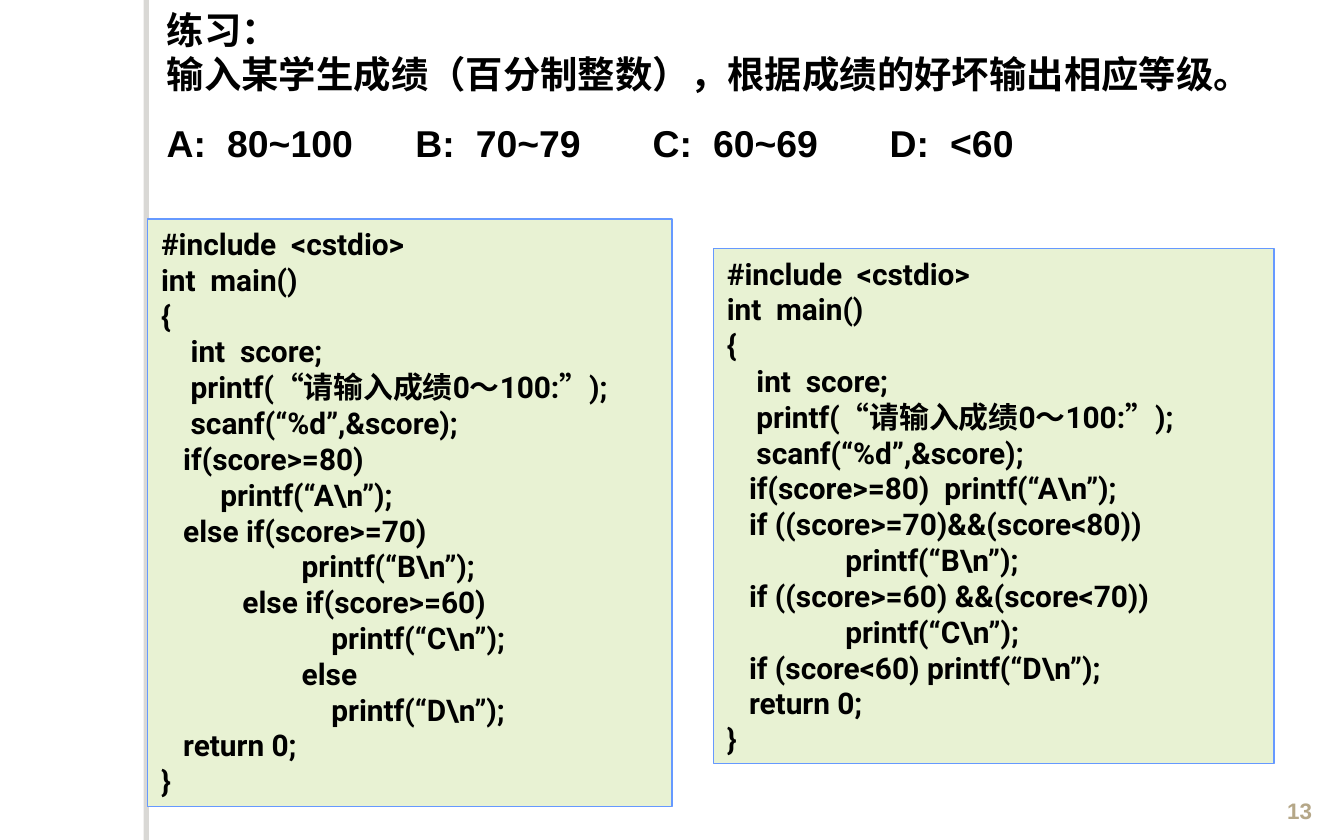
import pptx
import pptx.util
import pptx.dml.color
import pptx.enum.shapes
import pptx.enum.text
import pptx.oxml
import pptx.oxml.ns

QUESTION = ["练习：", "输入某学生成绩（百分制整数），根据成绩的好坏输出相应等级。"]
GRADES = [("A:", "80~100"), ("B:", "70~79"), ("C:", "60~69"), ("D:", "<60")]
PAGE_NUMBER = "13"

OPENING = [
    "#include  <cstdio>",
    "int  main()",
    "{",
    "    int  score;",
    "    printf(“请输入成绩0～100:”);",
    "    scanf(“%d”,&score);",
]
CLOSING = ["   return 0;", "}"]
NESTED_BRANCHES = [
    "   if(score>=80)",
    "        printf(“A\\n”);",
    "   else if(score>=70)",
    "                   printf(“B\\n”);",
    "           else if(score>=60)",
    "                       printf(“C\\n”);",
    "                   else",
    "                       printf(“D\\n”);",
]
SEPARATE_BRANCHES = [
    "   if(score>=80)  printf(“A\\n”);",
    "   if ((score>=70)&&(score<80))",
    "                printf(“B\\n”);",
    "   if ((score>=60) &&(score<70))",
    "                printf(“C\\n”);",
    "   if (score<60) printf(“D\\n”);",
]

THEME = {
    "bar": "FFFFFF",
    "shadow": "706B5F",
    "panel": "E8F2D3",
    "border": "6699FF",
    "question": {"name": "Arial", "size": 20, "bold": True, "color": "000000"},
    "code": {"name": "Roboto", "size": 16, "bold": True, "color": "000000"},
    "number": {"name": "Arial", "size": 12, "bold": True, "color": "B5A788"},
}

COLUMNS, ROWS = 100, 62.5
BAR_AREA = (11.1, 0, 0.8, ROWS)
QUESTION_AREA = (11.4, 0, 87, 12.8)
NUMBER_AREA = (94.2, 57.5, 5, 4.3)
PANELS = [
    ((11, 16.3, 39, 43.7), NESTED_BRANCHES),
    ((53.1, 18.5, 41.7, 38.3), SEPARATE_BRANCHES),
]
FIRST_GRADE, GRADE_STEP, RANGE_INDENT = 18.5, 17.65, 4.5

presentation = pptx.Presentation()
presentation.slide_width = pptx.util.Inches(10)
presentation.slide_height = pptx.util.Inches(6.25)
slide = presentation.slides.add_slide(presentation.slide_layouts[5])
column_width = presentation.slide_width / COLUMNS
row_height = presentation.slide_height / ROWS


def grid(area):
    left, top, width, height = area
    return [round(cells * size) for cells, size in zip(
        (left, top, width, height), (column_width, row_height) * 2)]


def color(name):
    return pptx.dml.color.RGBColor.from_string(name)


def style_font(font, style):
    values = {"name": style["name"], "size": pptx.util.Pt(style["size"]), "bold": style["bold"]}
    for name, value in values.items():
        setattr(font, name, value)
    font.color.rgb = color(style["color"])


def write(shape, lines, style, align=pptx.enum.text.PP_ALIGN.LEFT,
          anchor=pptx.enum.text.MSO_ANCHOR.TOP):
    frame = shape.text_frame
    values = {
        "word_wrap": True,
        "auto_size": pptx.enum.text.MSO_AUTO_SIZE.NONE,
        "vertical_anchor": anchor,
    }
    for name, value in values.items():
        setattr(frame, name, value)
    for index, line in enumerate(lines):
        paragraph = frame.add_paragraph() if index else frame.paragraphs[0]
        paragraph.alignment = align
        run = paragraph.add_run()
        run.text = line
        style_font(run.font, style)


def add_tabs(paragraph, positions):
    tabs = pptx.oxml.parse_xml(f'<a:tabLst {pptx.oxml.ns.nsdecls("a")}/>')
    for position in positions:
        tab = pptx.oxml.parse_xml(
            f'<a:tab {pptx.oxml.ns.nsdecls("a")} pos="{round(position * column_width)}" algn="l"/>')
        tabs.append(tab)
    paragraph._p.get_or_add_pPr().append(tabs)


def add_rectangle(area, fill):
    shape = slide.shapes.add_shape(pptx.enum.shapes.MSO_SHAPE.RECTANGLE, *grid(area))
    shape.shadow.inherit = False
    shape.fill.solid()
    shape.fill.fore_color.rgb = color(fill)
    return shape


bar = add_rectangle(BAR_AREA, THEME["bar"])
bar.line.fill.background()
shadow = pptx.oxml.parse_xml(
    f'<a:outerShdw {pptx.oxml.ns.nsdecls("a")} blurRad="0" dist="{pptx.util.Pt(3)}" '
    f'dir="10800000" algn="tl" rotWithShape="0"><a:srgbClr val="{THEME["shadow"]}">'
    '<a:alpha val="25000"/></a:srgbClr></a:outerShdw>')
bar._element.spPr.find(pptx.oxml.ns.qn("a:effectLst")).append(shadow)

title = slide.shapes.title
for name, value in zip(("left", "top", "width", "height"), grid(QUESTION_AREA)):
    setattr(title, name, value)
grade_line = "\t".join(text for grade in GRADES for text in grade)
write(title, QUESTION + [grade_line], THEME["question"])
grade_paragraph = title.text_frame.paragraphs[-1]
grade_paragraph.space_before = pptx.util.Pt(12.5)
grade_starts = [0] + [FIRST_GRADE + GRADE_STEP * index for index in range(len(GRADES) - 1)]
tab_stops = [start + indent for start in grade_starts for indent in (0, RANGE_INDENT)]
add_tabs(grade_paragraph, tab_stops[1:])

for area, branches in PANELS:
    panel = add_rectangle(area, THEME["panel"])
    panel.line.color.rgb = color(THEME["border"])
    panel.line.width = pptx.util.Pt(0.75)
    write(panel, OPENING + branches + CLOSING, THEME["code"])

number = slide.shapes.add_textbox(*grid(NUMBER_AREA))
write(number, [PAGE_NUMBER], THEME["number"],
      pptx.enum.text.PP_ALIGN.CENTER, pptx.enum.text.MSO_ANCHOR.BOTTOM)

presentation.save("out.pptx")
